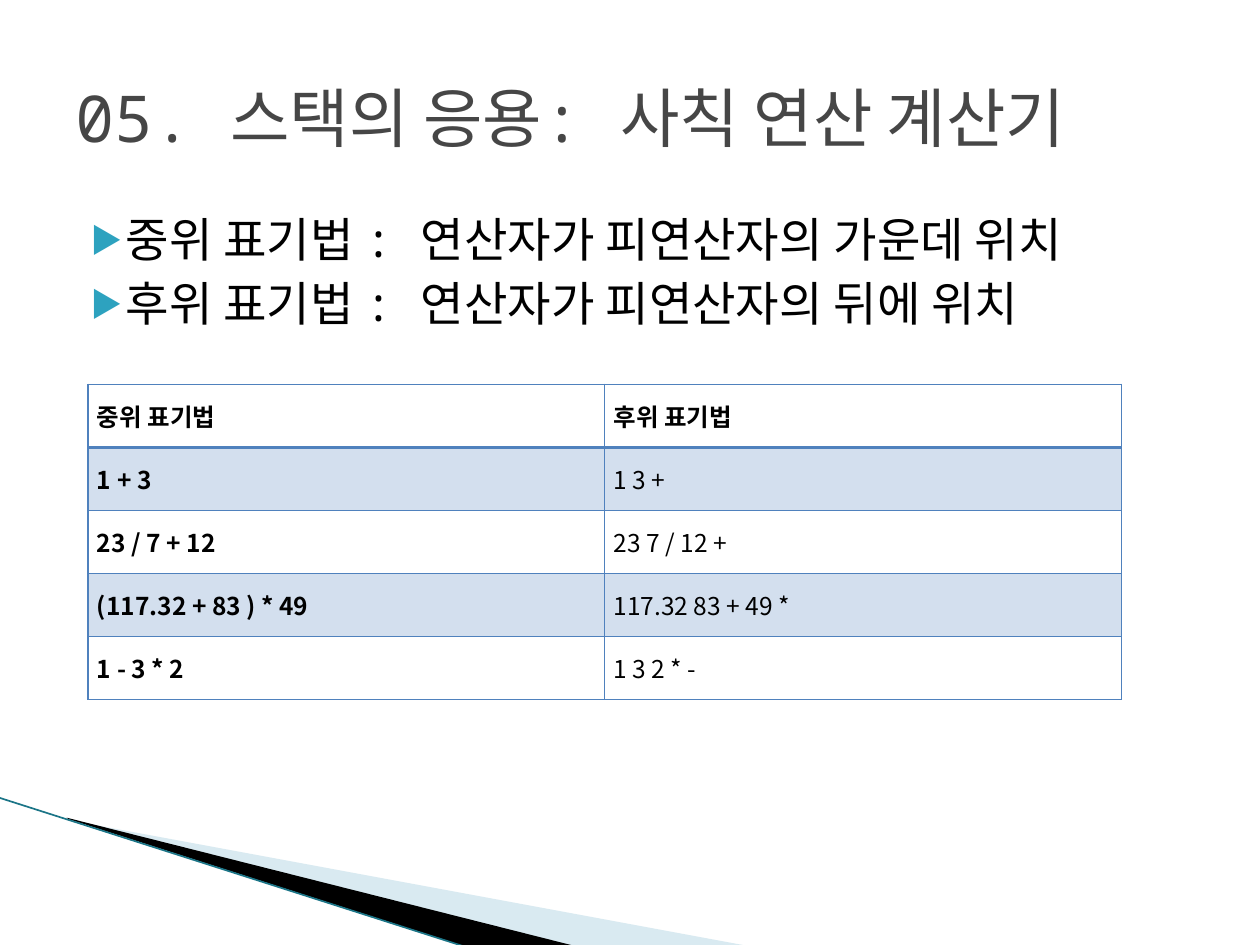
from pptx import Presentation
from pptx.dml.color import RGBColor
from pptx.enum.text import MSO_ANCHOR as Anchor, PP_ALIGN as Align
from pptx.oxml.xmlchemy import OxmlElement as Element
from pptx.util import Inches, Pt

# Content
TITLE = "05. 스택의 응용: 사칙 연산 계산기"
BULLETS = [
    "중위 표기법 : 연산자가 피연산자의 가운데 위치",
    "후위 표기법 : 연산자가 피연산자의 뒤에 위치",
]
ROWS = [
    ("중위 표기법", "후위 표기법"),
    ("1 + 3", "1 3 +"),
    ("23 / 7 + 12", "23 7 / 12 +"),
    ("(117.32 + 83 ) * 49", "117.32 83 + 49 *"),
    ("1 - 3 * 2", "1 3 2 * -"),
]
# Corner wedges: points, colour, opacity in percent
WEDGES = [
    ([(0.55, 6.51), (5.95, 7.51), (4.56, 7.51), (0.55, 6.5)], "A0CBDC", 40),
    ([(0.53, 6.49), (4.57, 7.51), (3.72, 7.52), (0.54, 6.5)], "000000", 100),
]
MONO, SANS = "Noto Sans Mono", "Noto Sans CJK KR"
BORDER, BAND = "4F81BD", "D3DFEE"


def color(value):
    return RGBColor.from_string(value)


def add_child(parent, tag, **attributes):
    child = Element(tag)
    for name, value in attributes.items():
        child.set(name, str(value))
    parent.append(child)
    return child


def add_run(para, text, size, font, tint, bold=False):
    span = para.add_run()
    span.text = text
    span.font.size = Pt(size)
    span.font.name = font
    span.font.bold = bold
    span.font.color.rgb = color(tint)
    add_child(span.font._element, "a:ea", typeface=SANS)


def add_text_box(left, top, width, height, anchor):
    box = page.shapes.add_textbox(*map(Inches, (left, top, width, height)))
    box.text_frame.word_wrap = True
    box.text_frame.vertical_anchor = anchor
    return box.text_frame


def add_bullet(para):
    props = para._p.get_or_add_pPr()
    props.set("marL", str(Inches(0.4)))
    props.set("indent", str(Inches(-0.28)))
    add_child(add_child(props, "a:buClr"), "a:srgbClr", val="2DA2BF")
    add_child(props, "a:buSzPct", val=68000)
    add_child(props, "a:buFont", typeface=SANS)
    add_child(props, "a:buChar", char="▶")


def set_borders(cell, widths):
    props = cell._tc.get_or_add_tcPr()
    for index, (side, width) in enumerate(widths.items()):
        line = Element("a:ln" + side)
        line.set("w", str(Pt(width)))
        add_child(add_child(line, "a:solidFill"), "a:srgbClr", val=BORDER)
        props.insert(index, line)


deck = Presentation()
deck.slide_width, deck.slide_height = Inches(10), Inches(7.5)
page = deck.slides.add_slide(deck.slide_layouts[6])

# Corner decoration
for points, tint, opacity in WEDGES:
    corners = [(Inches(x), Inches(y)) for x, y in points]
    builder = page.shapes.build_freeform(*corners[0], scale=1.0)
    builder.add_line_segments(corners[1:], close=True)
    wedge = builder.convert_to_shape()
    wedge.shadow.inherit = False
    wedge.fill.solid()
    wedge.fill.fore_color.rgb = color(tint)
    wedge.line.fill.background()
    if opacity < 100:
        tone = wedge._element.spPr.find(".//{*}srgbClr")
        add_child(tone, "a:alpha", val=opacity * 1000)

edge = page.shapes.add_connector(
    1, Inches(-0.01), Inches(6.33), Inches(3.71), Inches(7.52))
edge.line.color.rgb = color("1B7587")
edge.line.width = Pt(0.95)
add_child(edge._element.spPr, "a:effectLst")

# Title and bullets
title = add_text_box(0.5, 0.3, 9, 1.25, Anchor.MIDDLE)
add_run(title.paragraphs[0], TITLE, 36.9, MONO, "464646")

body = add_text_box(0.5, 1.62, 9, 4.95, Anchor.TOP)
for index, text in enumerate(BULLETS):
    para = body.add_paragraph() if index else body.paragraphs[0]
    para.space_before = Pt(4)
    add_bullet(para)
    add_run(para, text, 27, MONO, "000000")

# Notation table
table = page.shapes.add_table(
    len(ROWS), 2, Inches(0.7), Inches(3.05), Inches(8.2), Inches(2.5)).table
for row_index, row in enumerate(ROWS):
    table.rows[row_index].height = Inches(0.5)
    for column_index, text in enumerate(row):
        cell = table.cell(row_index, column_index)
        cell.vertical_anchor = Anchor.MIDDLE
        cell.margin_left = cell.margin_right = Inches(0.07)
        cell.margin_top = cell.margin_bottom = 0
        if row_index % 2:
            cell.fill.solid()
            cell.fill.fore_color.rgb = color(BAND)
        else:
            cell.fill.background()
        set_borders(cell, {
            "L": 1, "R": 1,
            "T": 2.25 if row_index == 1 else 1,
            "B": 2.25 if row_index == 0 else 1,
        })
        para = cell.text_frame.paragraphs[0]
        para.alignment = Align.JUSTIFY
        bold = row_index == 0 or column_index == 0
        add_run(para, text, 14, SANS, "000000", bold)

deck.save("out.pptx")
